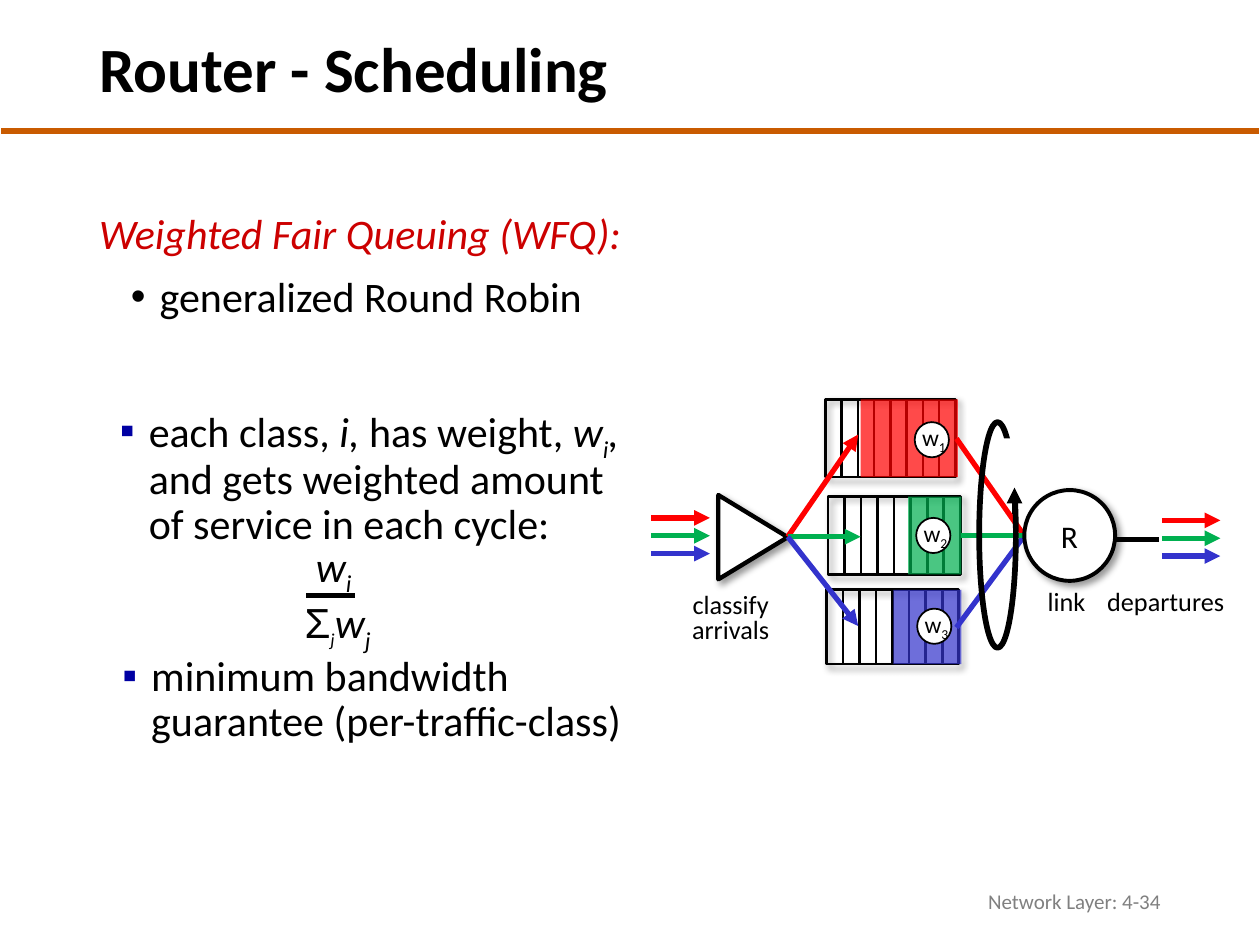
from lxml import etree
from pptx import Presentation
from pptx import util as u
from pptx.dml.color import RGBColor
from pptx.enum import shapes, text
from pptx.oxml.ns import qn

COLORS = dict(black="000000", white="FFFFFF", red="FF0000", green="00B050", blue="3333CC",
              rule="C95B00", heading="CC0000", grey="808080", bullet="0000A3")
CLASSES = ["red", "green", "blue"]

TITLE = "Router - Scheduling"
INTRO = [
    dict(runs=[("Weighted Fair Queuing (WFQ):", "i")], color="heading", indent=(0.64, -0.64)),
    dict(runs=[("generalized Round Robin", "")], bullet="•", indent=(1.22, -0.58), before=10),
]
POINTS = [
    ((1.6, 8.1, 11.58, 2.97),
     [("each class, ", ""), ("i, ", "i"), ("has weight, ", ""), ("w", "i"), ("i", "is"),
      (", ", "i"), ("and gets weighted amount of service in each cycle:", "")]),
    ((1.65, 13.11, 11.58, 2.18), [("minimum bandwidth guarantee (per-traffic-class)", "")]),
]
FRACTION = [
    ((6.12, 10.77, 1.24, 1.27), [("w", "i"), ("i", "is")]),
    ((5.89, 11.91, 1.88, 1.27), [("Σ", "a"), ("j", "ist"), ("w", "i"), ("j", "is")]),
]
LABELS = [
    ((13.64, 11.86, 2.18, 1.3), ["classify", "arrivals"], 15),
    ((22.05, 11.79, 2.9, 0.79), ["departures"], 15),
    ((20.85, 11.79, 1.3, 0.79), ["link"], 15),
    ((21.13, 10.44, 0.86, 0.89), ["R"], 18),
]
# box, left and width of the filled part, weight circle corner
QUEUES = [
    ((16.64, 8.05, 2.62, 1.57), (17.35, 1.96), (18.44, 8.51)),
    ((16.69, 10.01, 2.67, 1.57), (18.31, 1.07), (18.47, 10.44)),
    ((16.66, 11.89, 2.67, 1.5), (18.01, 1.37), (18.49, 12.27)),
]
SLOTS = 8
FLOWS = [(13.13, 10.44, 1.18), (23.42, 10.49, 1.18)]
FLOW_GAP = 0.36
SPLIT, SPLIT_ENDS = (15.88, 10.82), [(17.3, 8.76), (17.35, 10.82), (17.3, 12.62)]
MERGE, MERGE_STARTS = (20.65, 10.8), [(19.28, 8.84), (19.38, 10.8), (19.28, 12.65)]


def rgb(name):
    return RGBColor.from_string(COLORS[name])


def child(parent, tag, **attrs):
    return etree.SubElement(parent, qn(tag), {k: str(v) for k, v in attrs.items()})


def add_line(s, start, end, color="black", width=3, arrow=False):
    ln = s.shapes.add_connector(shapes.MSO_CONNECTOR.STRAIGHT, *map(u.Cm, start + end))
    ln.line.color.rgb = rgb(color)
    ln.line.width = u.Pt(width)
    if arrow:
        child(ln.line._get_or_add_ln(), "a:tailEnd", type="triangle")
    child(ln._element.spPr, "a:effectLst")
    return ln


def add_shape(s, kind, box, fill=None, width=None, shadow=False, alpha=None):
    sp = s.shapes.add_shape(getattr(shapes.MSO_SHAPE, kind), *map(u.Cm, box))
    sp.shadow.inherit = False
    if fill:
        sp.fill.solid()
        sp.fill.fore_color.rgb = rgb(fill)
    else:
        sp.fill.background()
    if width:
        sp.line.color.rgb = rgb("black")
        sp.line.width = u.Pt(width)
    else:
        sp.line.fill.background()
    if alpha:
        child(sp._element.spPr.find(".//" + qn("a:srgbClr")), "a:alpha", val=alpha * 1000)
    if shadow:
        effect = child(sp._element.spPr.find(qn("a:effectLst")), "a:outerShdw", blurRad=u.Pt(4),
                       dist=u.Pt(3), dir=45 * 60000, algn="tl", rotWithShape=0)
        child(child(effect, "a:srgbClr", val=COLORS["black"]), "a:alpha", val=40000)
    return sp


def fill_paragraph(p, runs, size=24, color="black", spacing=None, before=0, align=None,
                   indent=None, bullet=None, bullet_color=None):
    pPr = p._p.get_or_add_pPr()
    if indent:
        pPr.set("marL", str(u.Cm(indent[0])))
        pPr.set("indent", str(u.Cm(indent[1])))
    if bullet_color:
        child(child(pPr, "a:buClr"), "a:srgbClr", val=COLORS[bullet_color])
    if bullet:
        child(pPr, "a:buFont", typeface="Arial")
        child(pPr, "a:buChar", char=bullet)
    p.line_spacing = spacing
    p.space_before = u.Pt(before)
    p.alignment = align
    p.font.size, p.font.name, p.font.color.rgb = u.Pt(size), "Calibri", rgb(color)
    for words, style in runs:
        r = p.add_run()
        r.text = words
        if "i" in style:
            r.font.italic = True
        if "a" in style:
            r.font.name = "Arial"
        if "t" in style:
            r.font.size = u.Pt(18)
        if "s" in style:
            r.font._element.set("baseline", "-25000")


def add_text(s, box, paragraphs, wrap=True, insets=None, **common):
    tf = s.shapes.add_textbox(*map(u.Cm, box)).text_frame
    tf.word_wrap = wrap
    if insets:
        tf.margin_left = tf.margin_right = u.Cm(insets[0])
        tf.margin_top = tf.margin_bottom = u.Cm(insets[1])
    for i, options in enumerate(paragraphs):
        p = tf.add_paragraph() if i else tf.paragraphs[0]
        fill_paragraph(p, **{**common, **options})
    return tf


def add_title(s):
    sp = s.shapes.title
    sp.left, sp.top, sp.width, sp.height = map(u.Cm, (1.75, 0.38, 20.65, 2.16))
    tf = sp.text_frame
    tf.vertical_anchor = text.MSO_ANCHOR.MIDDLE
    fill_paragraph(tf.paragraphs[0], [(TITLE, "")], size=36, spacing=0.9,
                   align=text.PP_ALIGN.LEFT)
    tf.paragraphs[0].font.bold = True
    add_line(s, (0.03, 2.64), (25.37, 2.64), "rule")


def add_notes_column(s):
    add_text(s, (1.75, 4.17, 21.89, 3.56), INTRO, spacing=0.9)
    for box, runs in POINTS:
        add_text(s, box, [dict(runs=runs)], insets=(0.18, 0.1), spacing=0.9,
                 indent=(1.22, -0.58), bullet="▪", bullet_color="bullet")
    for box, runs in FRACTION:
        add_text(s, box, [dict(runs=runs)], wrap=False)
    add_line(s, (6.17, 12.01), (7.16, 12.01))


def add_queue(s, box, filled, color):
    left, top, width, height = box
    add_shape(s, "RECTANGLE", box, width=1.5, shadow=True)
    for k in range(1, SLOTS):
        x = left + k * width / SLOTS
        add_line(s, (x, top), (x, top + height), width=1.5)
    add_shape(s, "RECTANGLE", (filled[0], top, filled[1], height), color, alpha=71)


def add_diagram(s):
    add_line(s, (22.4, 10.87), (23.37, 10.87))
    for (box, filled, _), color in zip(QUEUES, CLASSES):
        add_queue(s, box, filled, color)
    add_shape(s, "ISOSCELES_TRIANGLE", (14.33, 10.13, 1.7, 1.4), "white", 2.5, True).rotation = 90
    for x, y, length in FLOWS:
        for k, color in enumerate(CLASSES):
            row = y + k * FLOW_GAP
            add_line(s, (x, row), (x + length, row), color, arrow=True)
    for end, color in zip(SPLIT_ENDS, CLASSES):
        add_line(s, SPLIT, end, color, arrow=True)
    for k in (0, 2, 1):
        add_line(s, MERGE_STARTS[k], MERGE, CLASSES[k])
    add_shape(s, "OVAL", (20.65, 9.88, 1.83, 1.83), "white", 2.25, True)
    for box, lines, size in LABELS:
        add_text(s, box, [dict(runs=[(line, "")]) for line in lines], wrap=False, size=size,
                 spacing=0.8, align=text.PP_ALIGN.CENTER)
    add_shape(s, "OVAL", (19.74, 8.51, 0.74, 4.55), width=3.25)
    add_shape(s, "RECTANGLE", (20.24, 8.84, 0.41, 1.22), "white")
    add_line(s, (20.45, 10.36), (20.45, 9.83), arrow=True)
    for k, (_, _, (x, y)) in enumerate(QUEUES, 1):
        add_shape(s, "OVAL", (x, y, 0.69, 0.71), "white", 1)
        add_text(s, (x - 0.1, y - 0.1, 1.02, 0.84), [dict(runs=[("w", ""), (str(k), "s")])],
                 wrap=False, size=13.5)


def main():
    """Build the weighted fair queuing slide."""
    prs = Presentation()
    prs.slide_width, prs.slide_height = u.Cm(25.4), u.Cm(19.05)
    s = prs.slides.add_slide(prs.slide_layouts[5])
    add_title(s)
    add_notes_column(s)
    add_diagram(s)
    tf = add_text(s, (17.93, 17.65, 5.72, 1.02), [dict(runs=[("Network Layer: 4-34", "")])],
                  size=12, color="grey", align=text.PP_ALIGN.RIGHT)
    tf.vertical_anchor = text.MSO_ANCHOR.MIDDLE
    prs.save("out.pptx")


if __name__ == "__main__":
    main()
